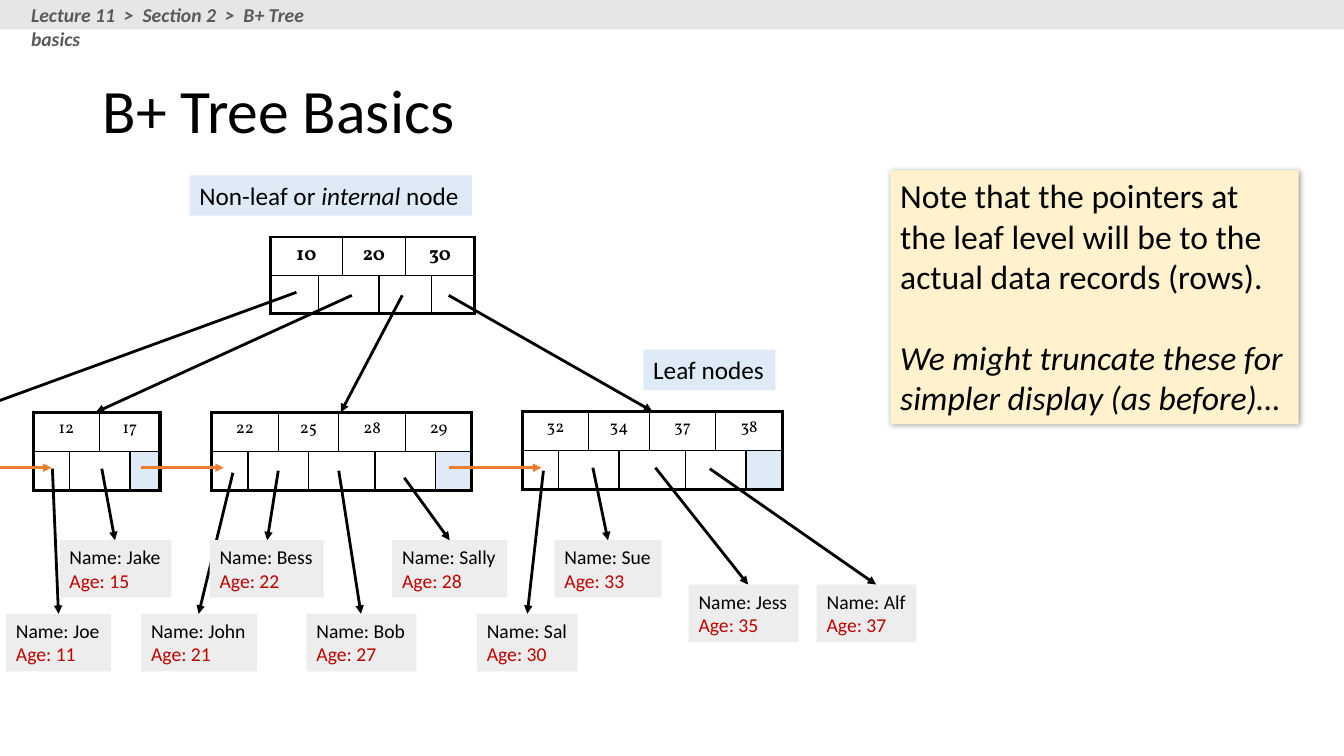
from lxml import etree
from pptx import Presentation
from pptx.dml.color import RGBColor
from pptx.enum import shapes, text
from pptx.oxml.ns import qn
from pptx.util import Inches, Pt

HUES = {
    "ink": "000000", "red": "C00000", "orange": "ED7D31", "gray": "595959",
    "bar": "E7E6E6", "card": "EDEDED", "blue": "DEEBF7", "cream": "FFF2CC",
}


def write(frame, paras, **base):
    """Fill a text frame; each paragraph is a list of (words, format) runs."""
    for i, runs in enumerate(paras):
        para = frame.paragraphs[0] if i == 0 else frame.add_paragraph()
        para.alignment = text.PP_ALIGN.LEFT
        for words, style in runs:
            run = para.add_run()
            run.text = words
            looks = {"name": "Calibri", "hue": "ink", **base, **style}
            run.font.color.rgb = RGBColor.from_string(HUES[looks.pop("hue")])
            for key, value in looks.items():
                setattr(run.font, key, value)


def box(spot, fill, paras=(), wrap=False, **base):
    """Add a borderless rectangle with left-aligned text."""
    shape = slide.shapes.add_shape(shapes.MSO_SHAPE.RECTANGLE, *map(Inches, spot))
    shape.shadow.inherit = False
    shape.line.fill.background()
    if fill:
        shape.fill.solid()
        shape.fill.fore_color.rgb = RGBColor.from_string(HUES[fill])
    else:
        shape.fill.background()
    if paras:
        frame = shape.text_frame
        frame.word_wrap = wrap
        frame.auto_size = text.MSO_AUTO_SIZE.SHAPE_TO_FIT_TEXT
        frame.vertical_anchor = text.MSO_ANCHOR.TOP
        write(frame, paras, **base)
    return shape


deck = Presentation()
deck.slide_width, deck.slide_height = Inches(13.33), Inches(7.5)
slide = deck.slides.add_slide(deck.slide_layouts[5])

# Title
title = slide.shapes.title
title.left, title.top, title.width, title.height = map(Inches, (0.92, 0.4, 11.5, 1.45))
title.text_frame.auto_size = text.MSO_AUTO_SIZE.NONE
title.text_frame.vertical_anchor = text.MSO_ANCHOR.MIDDLE
write(title.text_frame, [[("B+ Tree Basics", {})]], size=Pt(44))
title.text_frame.paragraphs[0].line_spacing = 0.9

# Tree nodes: keys span column pairs; pointers sit one column off
leaf = [0.36, 0.3, 0.3, 0.3, 0.36, 0.3, 0.3, 0.36]
nodes = [
    # left, top, row height, column widths, keys, key format, right edge
    (2.68, 2.35, 0.38, [0.48, 0.21, 0.36, 0.26, 0.26, 0.43],
     (10, 20, 30), {"size": Pt(14), "bold": True}, 2.25),
    (2.1, 4.09, 0.39, leaf, (22, 25, 28, 29), {"size": Pt(12)}, 2.25),
    (5.18, 4.08, 0.39, leaf, (32, 34, 37, 38), {"size": Pt(12)}, 2.25),
    (0.33, 4.09, 0.39, leaf[:4], (12, 17), {"size": Pt(12)}, 3),
]
for left, top, high, cols, keys, style, edge in nodes:
    last = len(cols) - 1
    table = slide.shapes.add_table(
        2, len(cols), Inches(left), Inches(top),
        Inches(sum(cols)), Inches(2 * high)).table
    table.first_row = table.horz_banding = False
    for col, wide in zip(table.columns, cols):
        col.width = Inches(wide)
    pairs = [(i, i + 1) for i in range(0, last, 2)]
    slots = [(0, 0)] + [(i, i + 1) for i in range(1, last, 2)] + [(last, last)]
    for row, spans in enumerate((pairs, slots)):
        for n, (start, end) in enumerate(spans):
            head = table.cell(row, start)
            if end > start:
                head.merge(table.cell(row, end))
            widths = {
                "lnL": 2.25 if start == 0 else 1,
                "lnR": edge if end == last else 1,
                "lnT": 2.25 if row == 0 else 1,
                "lnB": 2.25 if row == 1 else 1,
            }
            for spot in range(start, end + 1):
                cell = table.cell(row, spot)
                props = cell._tc.get_or_add_tcPr()
                for side, width in widths.items():
                    if side == "lnL" and spot > start:
                        continue
                    rule = etree.SubElement(props, qn("a:" + side), w=str(Pt(width)))
                    solid = etree.SubElement(rule, qn("a:solidFill"))
                    etree.SubElement(solid, qn("a:srgbClr"), val=HUES["ink"])
                cell.fill.background()
            if row == 0:
                write(head.text_frame, [[(str(keys[n]), style)]], name="Vollkorn")
                head.text_frame.paragraphs[0].alignment = text.PP_ALIGN.CENTER
            else:
                head.margin_top = head.margin_bottom = 0
                if start == last and style["size"] == Pt(12):
                    head.fill.solid()
                    head.fill.fore_color.rgb = RGBColor.from_string(HUES["blue"])

# Pointers
arrows = {
    "ink": [
        # root to leaves
        (2.94, 2.9, -0.13, 4.02), (3.49, 2.93, 0.95, 4.09),
        (3.99, 2.93, 3.38, 4.09), (4.45, 2.93, 6.47, 4.08),
        # leaves to records
        (0.52, 4.65, 0.58, 6.09), (1.01, 4.65, 1.14, 5.36),
        (2.31, 4.69, 1.97, 6.09), (2.76, 4.67, 2.65, 5.36),
        (3.36, 4.67, 3.58, 6.09), (4.01, 4.74, 4.46, 5.36),
        (5.39, 4.67, 5.23, 6.09), (5.88, 4.64, 6.03, 5.36),
        (6.5, 4.64, 7.42, 5.8), (7.04, 4.65, 8.69, 5.8),
    ],
    # leaf to leaf
    "orange": [(0, 4.64, 0.51, 4.64), (1.4, 4.64, 2.22, 4.64), (4.45, 4.64, 5.37, 4.64)],
}
for hue, ends in arrows.items():
    for points in ends:
        arrow = slide.shapes.add_connector(
            shapes.MSO_CONNECTOR.STRAIGHT, *map(Inches, points))
        arrow.line.width = Pt(2)
        arrow.line.color.rgb = RGBColor.from_string(HUES[hue])
        props = arrow._element.spPr
        etree.SubElement(props.find(qn("a:ln")), qn("a:tailEnd"), type="triangle")
        etree.SubElement(props, qn("a:effectLst"))

# Data records
cards = [
    ("Joe", 11, 0.06, 6.09, 1.04), ("Jake", 15, 0.59, 5.36, 1.11),
    ("John", 21, 1.4, 6.09, 1.15), ("Bess", 22, 2.08, 5.36, 1.13),
    ("Bob", 27, 3.04, 6.09, 1.09), ("Sally", 28, 3.89, 5.36, 1.14),
    ("Sal", 30, 4.73, 6.09, 1), ("Sue", 33, 5.5, 5.36, 1.06),
    ("Jess", 35, 6.83, 5.8, 1.09), ("Alf", 37, 8.1, 5.8, 0.99),
]
for name, age, left, top, wide in cards:
    box((left, top, wide, 0.57), "card",
        [[(f"Name: {name}", {})], [(f"Age: {age}", {"hue": "red"})]], size=Pt(14))

# Labels
box((1.88, 1.74, 2.8, 0.4), "blue",
    [[("Non-leaf or ", {}), ("internal ", {"italic": True}), ("node", {})]], size=Pt(18))
box((6.38, 3.47, 1.31, 0.4), "blue", [[("Leaf nodes", {})]], size=Pt(18))

# Note with a soft shadow
note = box((8.83, 1.69, 4.05, 2.52), "cream", [
    [("Note that the pointers at the leaf level will be to the actual data records (rows).", {})],
    [("We might truncate these for simpler display (as before)…", {"italic": True})],
], wrap=True, size=Pt(24))
note.text_frame.paragraphs[1].space_before = Pt(29)
shade = etree.SubElement(
    note._element.spPr.find(qn("a:effectLst")), qn("a:outerShdw"),
    blurRad=str(Pt(4)), dist=str(Pt(1)), dir=str(45 * 60000), rotWithShape="0")
tint = etree.SubElement(shade, qn("a:srgbClr"), val=HUES["ink"])
etree.SubElement(tint, qn("a:alpha"), val="40000")

# Header
box((0, 0, 13.33, 0.29), "bar")
box((0.21, -0.02, 3.39, 0.34), None, [[("Lecture 11  >  Section 2  >  B+ Tree basics", {})]],
    wrap=True, size=Pt(14), hue="gray", bold=True, italic=True)

deck.save("out.pptx")
